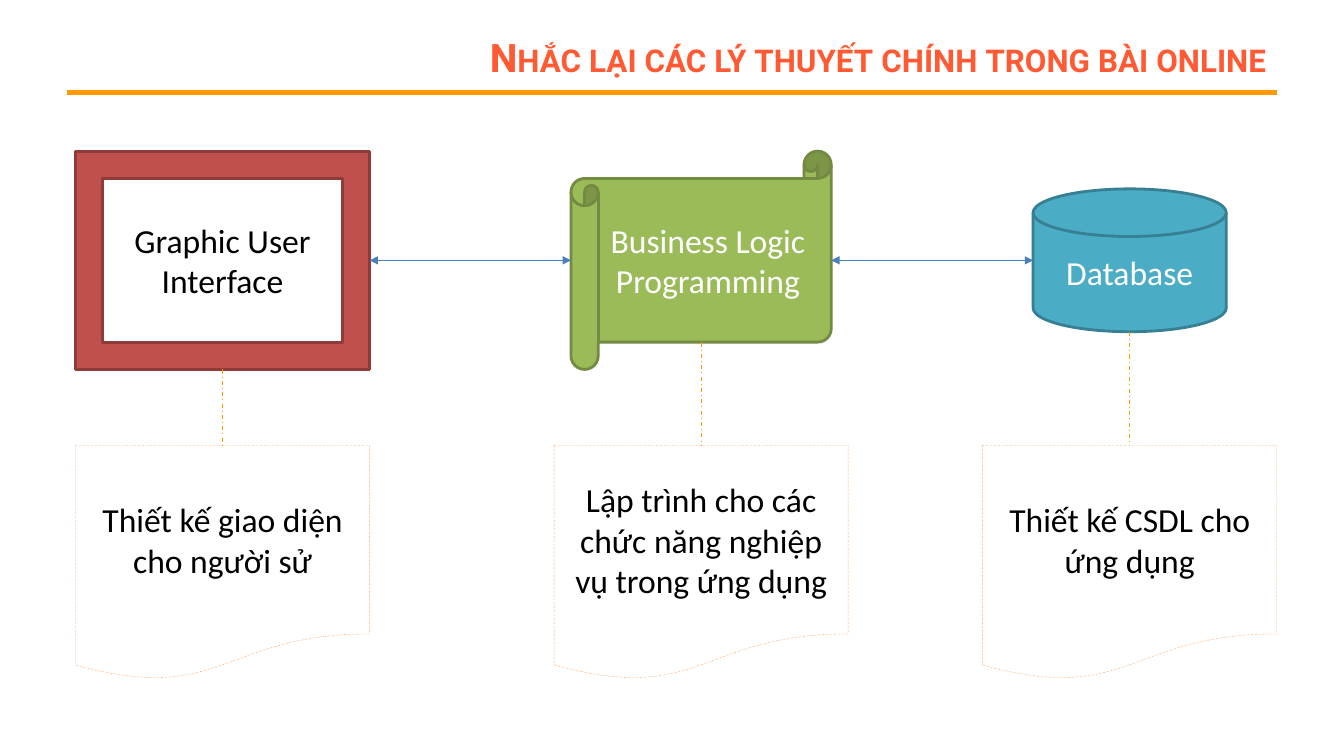
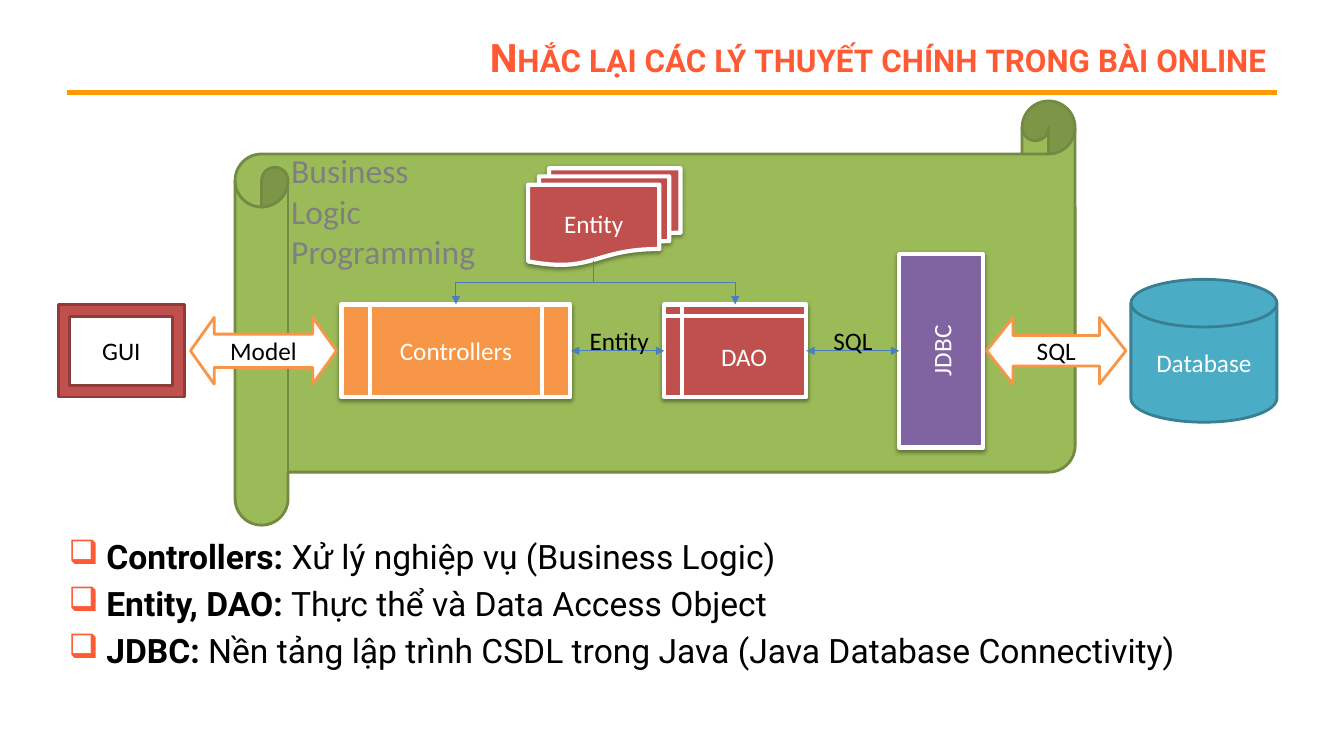
from lxml.etree import SubElement as Sub
from pptx import Presentation
from pptx.dml.color import RGBColor as Rgb
from pptx.enum.dml import MSO_LINE as Dash
from pptx.enum.shapes import MSO_CONNECTOR as Link, MSO_SHAPE as Kind
from pptx.enum.text import MSO_ANCHOR as Anchor, PP_ALIGN as Align
from pptx.oxml.ns import qn
from pptx.util import Cm, Pt

HUE = {
    "title": "FF5A33", "rule": "FF9900", "link": "4B7EBC",
    "red": "C0504D", "maroon": "8E3B39", "green": "9BBB59", "olive": "738A42",
    "teal": "4BACC6", "sea": "377F92", "orange": "F79646", "purple": "8064A2",
    "white": "FFFFFF", "black": "000000", "gray": "808080",
}
FRAME = dict(kind=Kind.FRAME, fill="red", line="maroon", ink="black")
SCROLL = dict(kind=Kind.HORIZONTAL_SCROLL, fill="green", line="olive")
DISK = dict(kind=Kind.FLOWCHART_MAGNETIC_DISK, fill="teal", line="sea")
PAPER = dict(kind=Kind.FLOWCHART_DOCUMENT, fill="white", line="orange",
             ink="black", thick=0.25, dash=True)
CARD = dict(line="white", thick=3, shade=True, size=18)
ARROW = dict(kind=Kind.LEFT_RIGHT_ARROW, fill="white", line="orange",
             ink="black", size=18)

TITLE = "Nhắc lại các lý thuyết chính trong bài online"
MID = 6.56
TIERS = [
    (5.61, 7.41, 5.5, 9.31, "Graphic User Interface",
     "Thiết kế giao diện cho người sử", FRAME),
    (17.67, 6.56, 5.5, 8.63, "Business Logic Programming",
     "Lập trình cho các chức năng nghiệp vụ trong ứng dụng", SCROLL),
    (28.47, 4.87, 3.6, 8.36, "Database", "Thiết kế CSDL cho ứng dụng", DISK),
]
NOTE = (11.22, 7.41, 5.93)

ROW = 8.84
PARTS = [
    ("Database", 30.34, ROW, 3.68, 3.6, {**DISK, "size": 18}),
    ("GUI", 3.06, ROW, 3.18, 2.33, {**FRAME, "size": 18}),
    ("JDBC", 23.72, ROW, 4.87, 2.12,
     dict(CARD, kind=Kind.RECTANGLE, fill="purple", turn=270)),
    ("Entity", 15.23, 5.46, 3.84, 2.44,
     dict(CARD, kind=Kind.FLOWCHART_MULTIDOCUMENT, fill="red")),
    ("Controllers", 11.49, ROW, 5.77, 2.33,
     dict(CARD, kind=Kind.FLOWCHART_PREDEFINED_PROCESS, fill="orange")),
    ("DAO", 18.53, ROW, 3.58, 2.33,
     dict(CARD, kind=Kind.FLOWCHART_INTERNAL_STORAGE, fill="red")),
    ("Model", 6.64, ROW, 3.68, 1.68, dict(ARROW, adj=(0.5, 0.356))),
    ("SQL", 26.62, ROW, 3.51, 1.68, dict(ARROW, adj=(0.459, 0.397))),
]
FLOWS = [(14.39, 16.74), (20.32, 22.66)]
FORK = (14.96, 6.58)
TINES = (11.49, 18.53)
TOP = 7.67
LABELS = [
    (["SQL"], (20.75, 8.08, 1.5, 1.02), dict(size=18)),
    (["Entity"], (14.61, 8.08, 2.03, 1.02), dict(size=18)),
    (["Business", "Logic", "Programming"], (7.09, 3.66, 5.18, 3.33),
     dict(size=24, ink="gray")),
]
POINTS = [
    ("Controllers: ", "Xử lý nghiệp vụ (Business Logic)"),
    ("Entity, DAO: ", "Thực thể và Data Access Object"),
    ("JDBC: ", "Nền tảng lập trình CSDL trong Java (Java Database Connectivity)"),
]


def tint(name):
    return Rgb.from_string(HUE[name])


def write(shape, rows, size=24, ink="black", font="Calibri", bold=False,
          align=Align.LEFT, anchor=Anchor.TOP, wrap=True, caps=False,
          bullet=None):
    frame = shape.text_frame
    frame.word_wrap = wrap
    frame.vertical_anchor = anchor
    for i, row in enumerate(rows):
        para = frame.add_paragraph() if i else frame.paragraphs[0]
        para.alignment = align
        if bullet:
            para.space_before = Pt(size * 0.2)
            prop = para._p.get_or_add_pPr()
            prop.set("marL", str(Cm(0.95)))
            prop.set("indent", str(Cm(-0.95)))
            color = Sub(prop, qn("a:buClr"))
            Sub(color, qn("a:srgbClr"), val=HUE["title"])
            Sub(prop, qn("a:buChar"), char=bullet)
        parts = [(row, bold)] if isinstance(row, str) else zip(row, (True, False))
        for text, heavy in parts:
            run = para.add_run()
            run.text = text
            run.font.name = font
            run.font.size = Pt(size)
            run.font.bold = heavy
            run.font.color.rgb = tint(ink)
            if caps:
                run._r.get_or_add_rPr().set("cap", "small")


def label(slide, rows, box, **form):
    write(slide.shapes.add_textbox(*map(Cm, box)), rows, **form)


def stroke(line, color, thick, dash):
    line.color.rgb = tint(color)
    line.width = Pt(thick)
    if dash:
        line.dash_style = Dash.DASH_DOT


def node(slide, text, x, y, wide, high, kind, fill, line, ink="white", size=24,
         thick=2, dash=False, shade=False, turn=0, adj=()):
    box = map(Cm, (x - wide / 2, y - high / 2, wide, high))
    shape = slide.shapes.add_shape(kind, *box)
    shape.rotation = turn
    for i, value in enumerate(adj):
        shape.adjustments[i] = value
    shape.fill.solid()
    shape.fill.fore_color.rgb = tint(fill)
    stroke(shape.line, line, thick, dash)
    shape.shadow.inherit = False
    if shade:
        glow = shape._element.spPr.find(qn("a:effectLst"))
        drop = Sub(glow, qn("a:outerShdw"), blurRad=str(Pt(3.1)),
                   dist=str(Pt(1.6)), dir="5400000", rotWithShape="0")
        color = Sub(drop, qn("a:srgbClr"), val=HUE["black"])
        Sub(color, qn("a:alpha"), val="38000")
    if text:
        write(shape, [text], size=size, ink=ink, align=Align.CENTER,
              anchor=Anchor.MIDDLE)


def link(slide, start, end, color="link", thick=0.75, dash=False, tips=(),
         kind=Link.STRAIGHT):
    wire = slide.shapes.add_connector(kind, *map(Cm, (*start, *end)))
    stroke(wire.line, color, thick, dash)
    for tip in tips:
        Sub(wire.line._get_or_add_ln(), qn("a:" + tip), type="triangle")
    Sub(wire._element.spPr, qn("a:effectLst"))
    return wire


def bend(slide, start, end):
    (x, y), (u, v) = start, end
    side = 1 if u > x else -1
    mid, cen = (x + u) / 2, (y + v) / 2
    half, arm = side * (v - y) / 2, abs(u - x) / 2
    wire = link(slide, (mid + half, cen - arm), (mid - half, cen + arm),
                tips=["tailEnd"], kind=Link.ELBOW)
    turn = 270 if side > 0 else 90
    wire._element.spPr.find(qn("a:xfrm")).set("rot", str(turn * 60000))


def page(deck):
    slide = deck.slides.add_slide(deck.slide_layouts[6])
    link(slide, (1.69, 2.33), (32.17, 2.33), color="rule", thick=3)
    label(slide, [TITLE], (6.2, 0.76, 25.96, 1.35), size=28, ink="title",
          font="Roboto", bold=True, align=Align.RIGHT, anchor=Anchor.MIDDLE,
          caps=True)
    return slide


def tiers(deck):
    slide = page(deck)
    top, wide, high = NOTE
    for x, w, h, base, name, note, look in TIERS:
        node(slide, name, x, MID, w, h, **look)
        node(slide, note, x, top + high / 2, wide, high, **PAPER)
        link(slide, (x, base), (x, top), color="rule", dash=True)
    for left, right in zip(TIERS, TIERS[1:]):
        link(slide, (left[0] + left[1] / 2, MID),
             (right[0] - right[1] / 2, MID), tips=["headEnd", "tailEnd"])


def layers(deck):
    slide = page(deck)
    node(slide, "", 16.51, 7.89, 21.17, 10.69, **SCROLL)
    label(slide, POINTS, (1.48, 13.39, 30.69, 5.03), font="Roboto", bullet="❑")
    for *spot, look in PARTS:
        node(slide, *spot, **look)
    for left, right in FLOWS:
        link(slide, (left, ROW), (right, ROW), tips=["headEnd", "tailEnd"])
    for x in TINES:
        bend(slide, FORK, (x, TOP))
    for rows, box, form in LABELS:
        label(slide, rows, box, wrap=False, **form)


def main():
    deck = Presentation()
    deck.slide_width, deck.slide_height = Cm(33.87), Cm(19.05)
    tiers(deck)
    layers(deck)
    deck.save("out.pptx")


if __name__ == "__main__":
    main()
